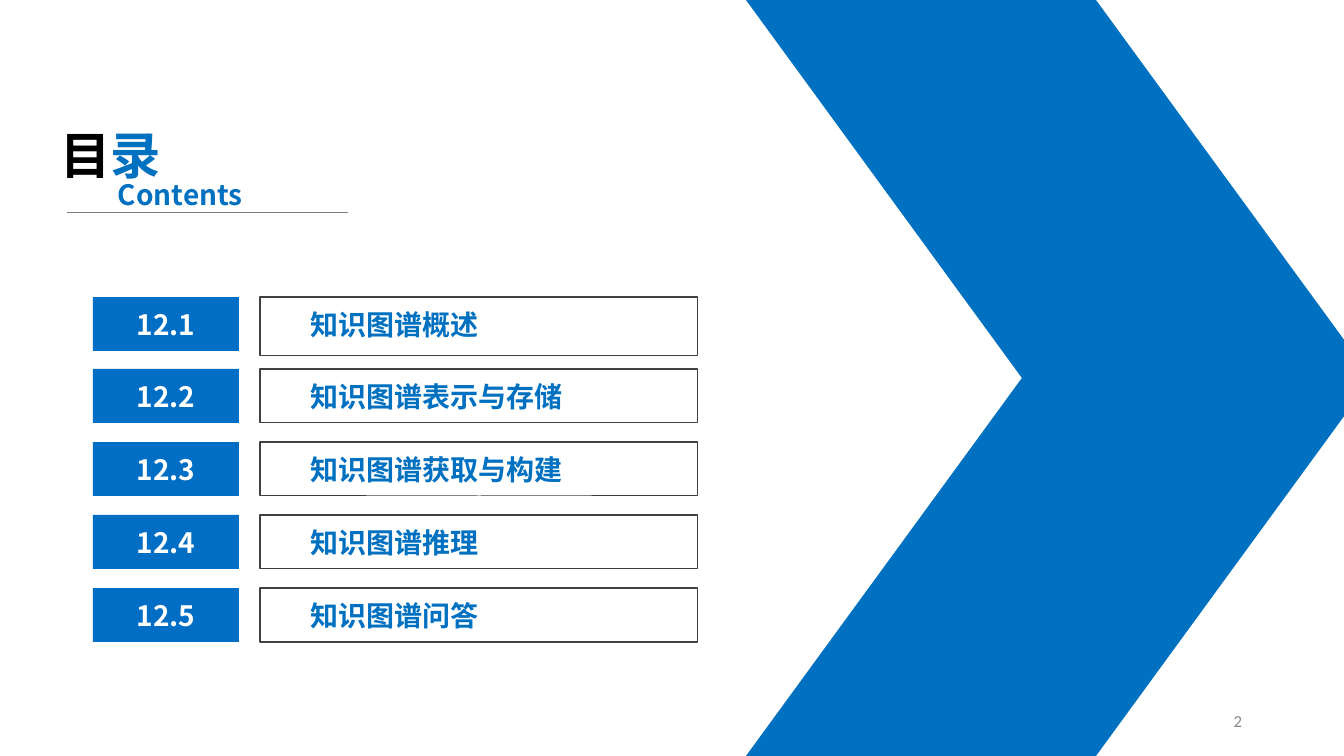
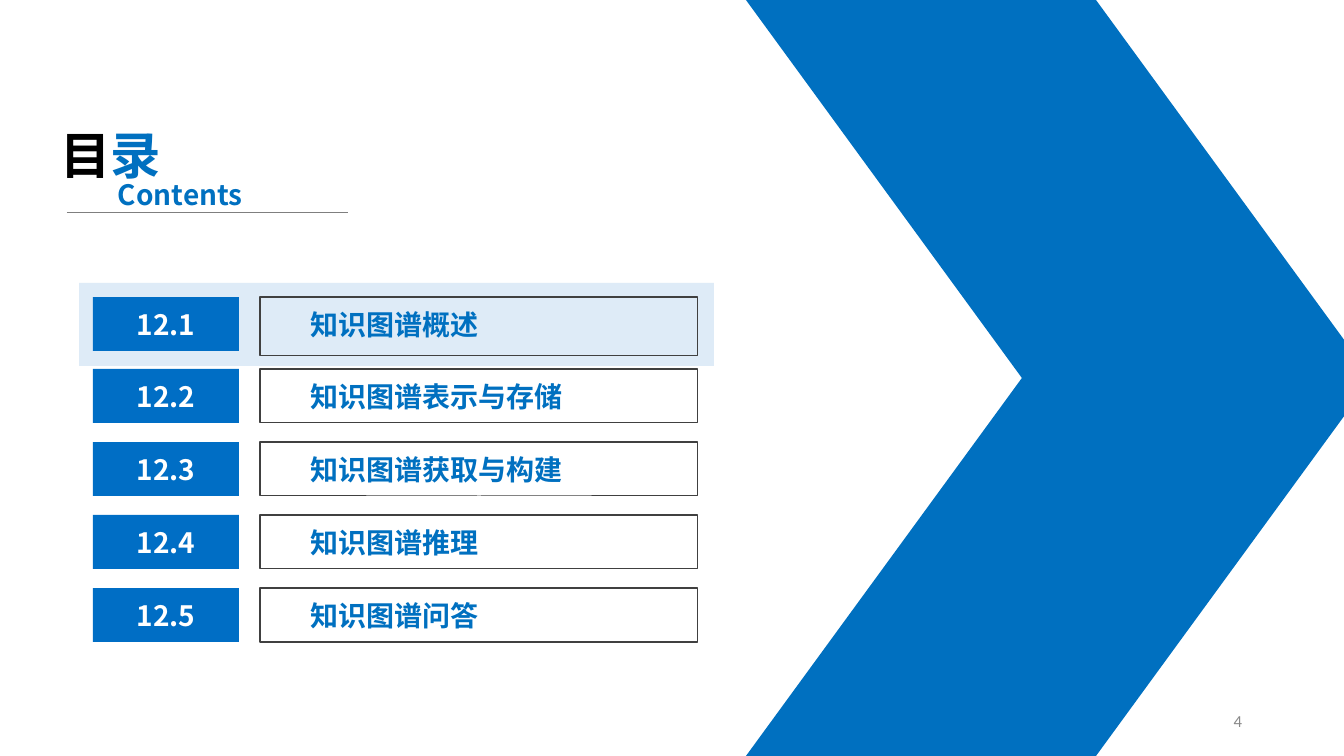
from dataclasses import dataclass

from lxml import etree
from pptx import Presentation
from pptx import util as u
from pptx.dml.color import RGBColor
from pptx.enum import shapes, text
from pptx.oxml import ns


@dataclass(frozen=True)
class Theme:
    """Colours, fonts and type sizes of the deck."""
    blue: str = "0070C0"
    tag: str = "006EC5"
    pale: str = "DEEBF7"
    edge: str = "404040"
    rule: str = "7F7F7F"
    gray: str = "898989"
    black: str = "000000"
    white: str = "FFFFFF"
    font: str = "Noto Sans CJK SC"
    plain: str = "Calibri"
    big: int = 36
    body: int = 20
    small: int = 12


T = Theme()
WIDE, HIGH = 1344, 756
TOPICS = ["知识图谱概述", "知识图谱表示与存储", "知识图谱获取与构建", "知识图谱推理", "知识图谱问答"]
LEFT, MID, RIGHT = text.PP_ALIGN.LEFT, text.PP_ALIGN.CENTER, text.PP_ALIGN.RIGHT
TOP, CENTER = text.MSO_ANCHOR.TOP, text.MSO_ANCHOR.MIDDLE


def px(n):
    """Turn pixels into EMU."""
    return u.Emu(round(n * 914400 / 100.8))


def rgb(code):
    """Turn a hex code into a colour."""
    return RGBColor.from_string(code)


def style(para, size, color=None, font=T.font, bold=True, align=LEFT):
    """Set the font and alignment of a paragraph."""
    para.alignment = align
    para.font.size, para.font.bold, para.font.name = u.Pt(size), bold, font
    if color:
        para.font.color.rgb = rgb(color)
    latin = para._p.pPr.find(".//" + ns.qn("a:latin"))
    east = etree.Element(ns.qn("a:ea"), typeface=font)
    latin.addnext(east)


def write(shape, words, size, color, anchor=TOP, **look):
    """Put one styled paragraph into a shape."""
    frame = shape.text_frame
    frame.word_wrap, frame.vertical_anchor = True, anchor
    para = frame.paragraphs[0]
    para.text = words
    style(para, size, color, **look)
    return frame


def block(slide, box, fill=None, line=None, kind=shapes.MSO_SHAPE.RECTANGLE):
    """Draw a preset shape with an optional fill and line."""
    shape = slide.shapes.add_shape(kind, *map(px, box))
    shape.shadow.inherit = False
    if fill:
        shape.fill.solid()
        shape.fill.fore_color.rgb = rgb(fill)
    else:
        shape.fill.background()
    if line:
        shape.line.color.rgb = rgb(line)
        shape.line.width = u.Pt(0.75)
    else:
        shape.line.fill.background()
    return shape


def label(slide, box, words, size, color, **look):
    """Add a text box with one paragraph."""
    return write(slide.shapes.add_textbox(*map(px, box)), words, size, color, **look)


def arrow(slide, x, y, w, h):
    """Draw the large chevron from two mirrored halves."""
    half = h // 2
    for top, flip in ((y + half, False), (y, True)):
        part = block(slide, (x, top, w, half), T.blue,
                     kind=shapes.MSO_SHAPE.PARALLELOGRAM)
        part.adjustments[0] = 0.73
        if flip:
            part._element.spPr.xfrm.set("flipV", "1")


def head(slide, x, y):
    """Place the title, its subtitle and the rule below."""
    title = slide.shapes.title
    title.left, title.top, title.width, title.height = map(px, (x, y, 158, 71))
    frame = title.text_frame
    frame.auto_size = text.MSO_AUTO_SIZE.NONE
    frame.vertical_anchor = TOP
    para = frame.paragraphs[0]
    for sign, color in (("目", T.black), ("录", T.blue)):
        run = para.add_run()
        run.text = sign
        run.font.color.rgb = rgb(color)
    style(para, T.big)
    label(slide, (x + 58, y + 54, 158, 44), "Contents", T.body, T.blue)
    rule = slide.shapes.add_connector(
        shapes.MSO_CONNECTOR.STRAIGHT,
        *map(px, (x + 17, y + 93, x + 298, y + 93)))
    rule.line.color.rgb = rgb(T.rule)
    rule.line.width = u.Pt(0.5)
    etree.SubElement(rule._element.spPr, ns.qn("a:effectLst"))


def row(slide, x, y, h, mark, topic):
    """Place one numbered topic."""
    frame = write(block(slide, (x + 167, y, 438, h), line=T.edge), topic, T.body, T.blue)
    frame.margin_left, frame.margin_top = px(50), px(10)
    write(block(slide, (x, y, 146, 54), T.tag), mark, T.body, T.white,
          anchor=CENTER, align=MID)


def menu(slide, x, y, active):
    """Place the topic list, with a band behind the active topic."""
    tops = [y + i * 291 // 4 for i in range(len(TOPICS))]
    if active is not None:
        block(slide, (x - 14, tops[active] - 14, 635, 83), T.pale)
    for i, (top, topic) in enumerate(zip(tops, TOPICS)):
        row(slide, x, top, 54 if i else 59, f"12.{i + 1}", topic)


def agenda(deck, page, active=None):
    """Build one contents slide."""
    slide = deck.slides.add_slide(deck.slide_layouts[5])
    arrow(slide, 746, 0, 626, HIGH)
    head(slide, 50, 119)
    menu(slide, 93, 297, active)
    label(slide, (950, 701, 302, 40), str(page), T.small, T.gray,
          anchor=CENTER, font=T.plain, bold=False, align=RIGHT)


def main():
    """Build and save the deck."""
    deck = Presentation()
    deck.slide_width, deck.slide_height = px(WIDE), px(HIGH)
    agenda(deck, 2)
    agenda(deck, 4, active=0)
    deck.save("out.pptx")


if __name__ == "__main__":
    main()
